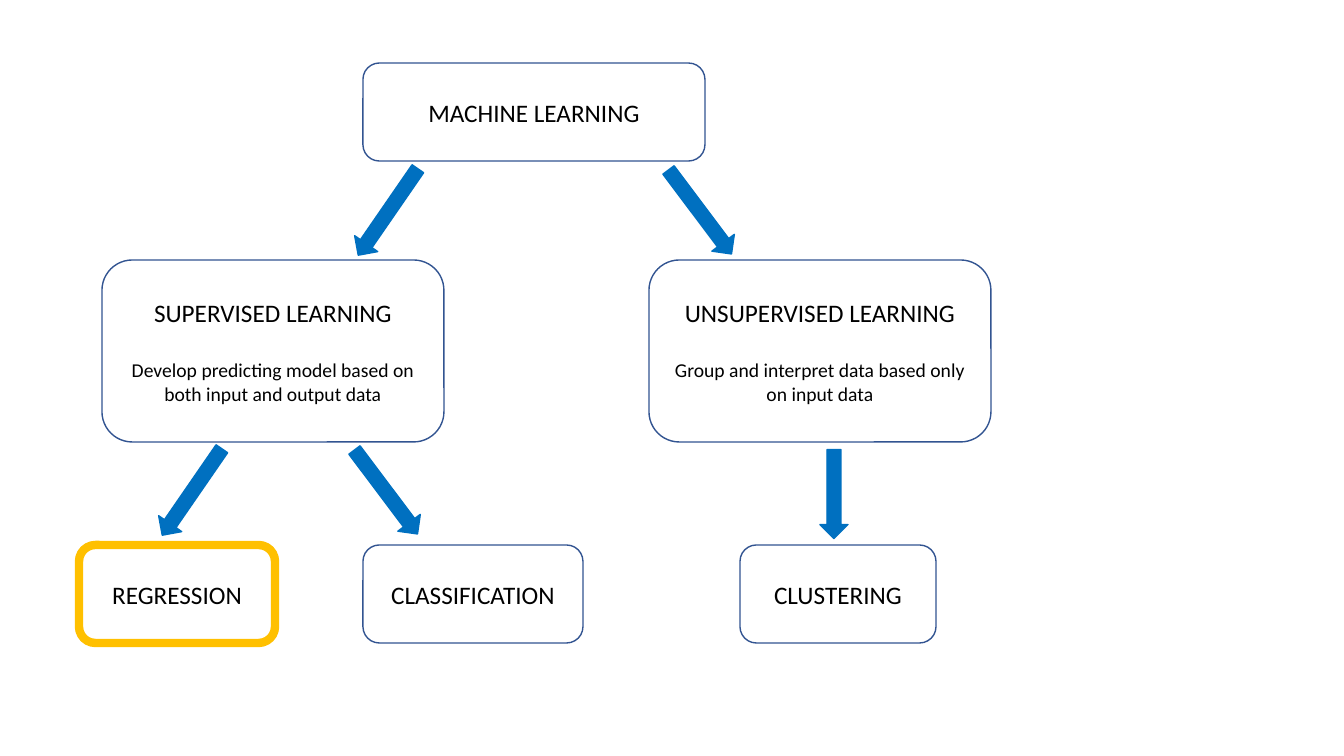
from dataclasses import dataclass

from pptx import Presentation
from pptx.dml.color import RGBColor
from pptx.enum.shapes import MSO_SHAPE
from pptx.enum.text import MSO_ANCHOR, PP_ALIGN
from pptx.util import Emu, Pt

ROUNDED = MSO_SHAPE.ROUNDED_RECTANGLE
ARROW = MSO_SHAPE.RIGHT_ARROW
MIDDLE = MSO_ANCHOR.MIDDLE
CENTER = PP_ALIGN.CENTER

EMU_PER_PIXEL = 914400 / 100.8
PAGE_WIDTH, PAGE_HEIGHT = 1344, 756
BLANK_LAYOUT = 6
ARROW_THICKNESS = 28
COLORS = {"outline": "325491", "arrow": "0070C0", "highlight": "FFC000", "text": "000000"}


@dataclass(frozen=True)
class Topic:
    left: int
    top: int
    width: int
    height: int
    title: str
    detail: str = ""
    outline: str = "outline"
    weight: int = 1


@dataclass(frozen=True)
class Arrow:
    center_x: int
    center_y: int
    angle: float
    length: int = 105


TOP_ROW, MIDDLE_ROW, BOTTOM_ROW = 63, 260, 545
WIDE, SHORT, TALL = 342, 98, 182
DOWN_LEFT, DOWN_RIGHT, DOWN = 124.6, 53.1, 90

TOPICS = [
    Topic(363, TOP_ROW, WIDE, SHORT, "MACHINE LEARNING"),
    Topic(102, MIDDLE_ROW, WIDE, TALL, "SUPERVISED LEARNING",
          "Develop predicting model based on both input and output data"),
    Topic(649, MIDDLE_ROW, WIDE, TALL, "UNSUPERVISED LEARNING",
          "Group and interpret data based only on input data"),
    Topic(79, BOTTOM_ROW, 196, SHORT, "REGRESSION", outline="highlight", weight=6),
    Topic(363, BOTTOM_ROW, 220, SHORT, "CLASSIFICATION"),
    Topic(740, BOTTOM_ROW, 196, SHORT, "CLUSTERING"),
]

ARROWS = [
    Arrow(388, 212, DOWN_LEFT),
    Arrow(700, 212, DOWN_RIGHT),
    Arrow(192, 492, DOWN_LEFT),
    Arrow(386, 492, DOWN_RIGHT),
    Arrow(834, 494, DOWN, 89),
]


def px(pixels: float) -> Emu:
    return Emu(round(pixels * EMU_PER_PIXEL))


def color(name: str) -> RGBColor:
    return RGBColor.from_string(COLORS[name])


def apply_format(target, values: dict) -> None:
    for name, value in values.items():
        setattr(target, name, value)


def add_outlined(page, kind, frame: tuple, outline: str, weight: int):
    shape = page.shapes.add_shape(kind, *map(px, frame))
    shape.shadow.inherit = False
    shape.line.color.rgb = color(outline)
    shape.line.width = Pt(weight)
    return shape


def write_line(para, text: str, size: int, gap: int = 0) -> None:
    apply_format(para, {"alignment": CENTER, "space_before": Pt(gap)})
    span = para.add_run()
    span.text = text
    apply_format(span.font, {"name": "Calibri", "size": Pt(size)})
    span.font.color.rgb = color("text")


def draw_topic(page, topic: Topic) -> None:
    frame = (topic.left, topic.top, topic.width, topic.height)
    box = add_outlined(page, ROUNDED, frame, topic.outline, topic.weight)
    box.fill.background()
    text = box.text_frame
    apply_format(text, {"word_wrap": True, "vertical_anchor": MIDDLE})
    write_line(text.paragraphs[0], topic.title, 18)
    if topic.detail:
        write_line(text.add_paragraph(), topic.detail, 14, gap=22)


def draw_arrow(page, arrow: Arrow) -> None:
    frame = (arrow.center_x - arrow.length / 2, arrow.center_y - ARROW_THICKNESS / 2,
             arrow.length, ARROW_THICKNESS)
    shape = add_outlined(page, ARROW, frame, "arrow", 1)
    shape.fill.solid()
    shape.fill.fore_color.rgb = color("arrow")
    shape.rotation = arrow.angle


deck = Presentation()
apply_format(deck, {"slide_width": px(PAGE_WIDTH), "slide_height": px(PAGE_HEIGHT)})
page = deck.slides.add_slide(deck.slide_layouts[BLANK_LAYOUT])

# Topic boxes
for topic in TOPICS:
    draw_topic(page, topic)

# Arrows from each topic to its branches
for arrow in ARROWS:
    draw_arrow(page, arrow)

deck.save("out.pptx")
